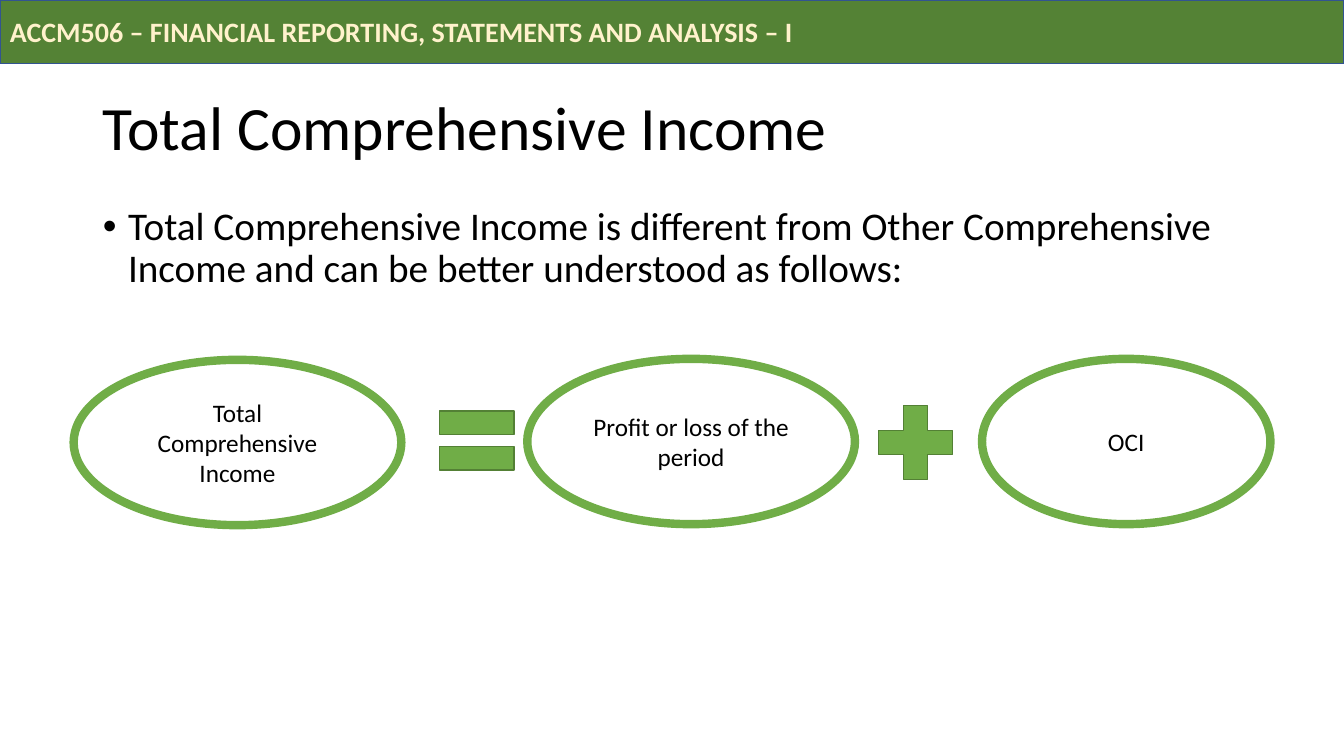
"""Build the Total Comprehensive Income slide."""
from dataclasses import dataclass

from pptx import Presentation
from pptx.dml.color import RGBColor
from pptx.enum.shapes import MSO_SHAPE
from pptx.enum.text import MSO_ANCHOR, MSO_AUTO_SIZE, PP_ALIGN
from pptx.shapes.autoshape import Shape
from pptx.slide import Slide
from pptx.util import Inches, Pt

RECTANGLE, OVAL = MSO_SHAPE.RECTANGLE, MSO_SHAPE.OVAL
EQUALS, PLUS = MSO_SHAPE.MATH_EQUAL, MSO_SHAPE.MATH_PLUS
LEFT, CENTER = PP_ALIGN.LEFT, PP_ALIGN.CENTER
TOP, MIDDLE = MSO_ANCHOR.TOP, MSO_ANCHOR.MIDDLE
NO_AUTOFIT = MSO_AUTO_SIZE.NONE

BLACK = RGBColor(0x00, 0x00, 0x00)
WHITE = RGBColor(0xFF, 0xFF, 0xFF)
CREAM = RGBColor(0xFF, 0xF2, 0xCC)
GREEN = RGBColor(0x70, 0xAD, 0x47)
DARK_GREEN = RGBColor(0x54, 0x82, 0x35)
EDGE_GREEN = RGBColor(0x53, 0x80, 0x35)
EDGE_BLUE = RGBColor(0x32, 0x54, 0x91)

FONT = "Calibri"
SLIDE_WIDTH, SLIDE_HEIGHT = Inches(13.33), Inches(7.5)
COLUMN, ROW = SLIDE_WIDTH / 100, SLIDE_HEIGHT / 100
BULLET_INDENT = Inches(0.25)


@dataclass(frozen=True)
class Area:
    """A rectangle in columns and rows, each one hundredth of the slide."""
    column: float
    row: float
    columns: float
    rows: float


@dataclass(frozen=True)
class Style:
    """The fill and outline of a shape."""
    fill: RGBColor
    line: RGBColor
    weight: float


@dataclass(frozen=True)
class Item:
    """One drawn shape with its optional label."""
    kind: MSO_SHAPE
    area: Area
    style: Style
    label: str = ""
    size: int = 18
    color: RGBColor = BLACK
    bold: bool = False
    align: PP_ALIGN = CENTER


HEADER = Style(DARK_GREEN, EDGE_BLUE, 1)
TERM = Style(WHITE, GREEN, 6)
SIGN = Style(GREEN, EDGE_GREEN, 1)

TITLE_AREA = Area(6.9, 9.87, 86.27, 14.67)
BODY_AREA = Area(6.9, 26.67, 86.27, 63.47)
TITLE = "Total Comprehensive Income"
BODY = ("Total Comprehensive Income is different from Other Comprehensive "
        "Income and can be better understood as follows:")

ITEMS = (
    Item(RECTANGLE, Area(0, 0, 100, 8.4), HEADER,
         "ACCM506 – FINANCIAL REPORTING, STATEMENTS AND ANALYSIS – I",
         20, CREAM, True, LEFT),
    Item(OVAL, Area(5.48, 47.6, 24.38, 21.87), TERM, TITLE),
    Item(OVAL, Area(39.23, 47.47, 24.38, 21.87), TERM, "Profit or loss of the period"),
    Item(OVAL, Area(73.07, 47.47, 21.46, 21.87), TERM, "OCI"),
    Item(EQUALS, Area(31.73, 51.6, 7.5, 13.33), SIGN),
    Item(PLUS, Area(64.37, 51.87, 7.5, 13.33), SIGN),
)


def place(box: Shape, area: Area) -> None:
    """Move and size a box to its area."""
    box.left, box.top = round(area.column * COLUMN), round(area.row * ROW)
    box.width, box.height = round(area.columns * COLUMN), round(area.rows * ROW)


def write(box: Shape, text: str, size: int, color: RGBColor, bold: bool,
          align: PP_ALIGN, anchor: MSO_ANCHOR) -> None:
    """Set and format the single paragraph of a box."""
    frame = box.text_frame
    frame.text = text
    frame.word_wrap = True
    frame.auto_size = NO_AUTOFIT
    frame.vertical_anchor = anchor
    para = frame.paragraphs[0]
    para.alignment = align
    for span in para.runs:
        span.font.name = FONT
        span.font.size = Pt(size)
        span.font.bold = bold
        span.font.color.rgb = color


def fill_placeholder(box: Shape, area: Area, text: str, size: int,
                     anchor: MSO_ANCHOR) -> None:
    """Place a title or body placeholder and write its text."""
    place(box, area)
    write(box, text, size, BLACK, False, LEFT, anchor)
    para = box.text_frame.paragraphs[0]
    para.line_spacing = 0.9
    para.space_before = Pt(0)


def indent_bullet(box: Shape) -> None:
    """Give the bullet of a box its hanging indent."""
    properties = box.text_frame.paragraphs[0]._p.get_or_add_pPr()
    properties.set("marL", str(BULLET_INDENT))
    properties.set("indent", str(-BULLET_INDENT))


def draw_item(page: Slide, item: Item) -> None:
    """Draw one shape and its label."""
    box = page.shapes.add_shape(item.kind, 0, 0, 0, 0)
    place(box, item.area)
    box.shadow.inherit = False
    box.fill.solid()
    box.fill.fore_color.rgb = item.style.fill
    box.line.color.rgb = item.style.line
    box.line.width = Pt(item.style.weight)
    if item.label:
        write(box, item.label, item.size, item.color, item.bold, item.align, MIDDLE)


def main() -> None:
    """Build and save the deck."""
    deck = Presentation()
    deck.slide_width, deck.slide_height = SLIDE_WIDTH, SLIDE_HEIGHT
    page = deck.slides.add_slide(deck.slide_layouts[1])
    body = page.placeholders[1]
    fill_placeholder(page.shapes.title, TITLE_AREA, TITLE, 44, MIDDLE)
    fill_placeholder(body, BODY_AREA, BODY, 28, TOP)
    indent_bullet(body)
    for item in ITEMS:
        draw_item(page, item)
    deck.save("out.pptx")


if __name__ == "__main__":
    main()
